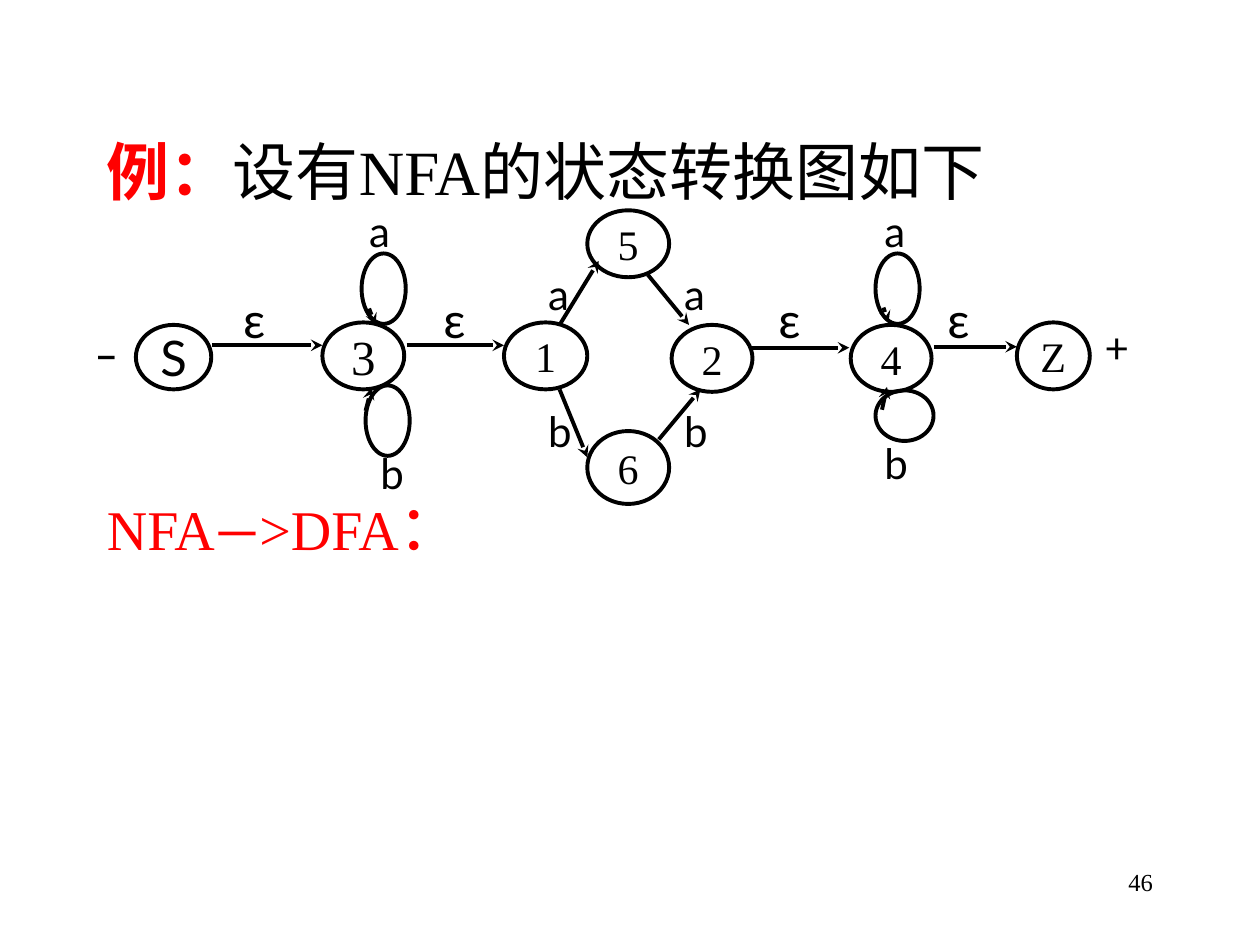
"""Build a slide with the state diagram of an NFA that is to be turned into a DFA."""
from lxml import etree
from pptx import Presentation
from pptx import util as u
from pptx.dml.color import RGBColor
from pptx.enum import shapes, text
from pptx.oxml import ns

BLACK = RGBColor(0x00, 0x00, 0x00)
RED = RGBColor(0xFF, 0x00, 0x00)
SERIF, SANS = "Times New Roman", "Lato"

LINES = [
    (0, [("例：", dict(size=36, color=RED, bold=True)),
         ("设有NFA的状态转换图如下", dict(size=36))]),
    (160, [("NFA", dict(size=32, color=RED)),
           ("—", dict(size=32, color=RED, font=SANS)),
           (">DFA", dict(size=32, color=RED)),
           ("：", dict(size=36, color=RED))]),
]
STATES = [
    ("5", 11.84, 4.24, 1.65, 1.35, {}),
    ("S", 2.74, 6.55, 1.52, 1.3, dict(size=28, font=SANS)),
    ("3", 6.5, 6.5, 1.65, 1.35, dict(size=28)),
    ("1", 10.16, 6.5, 1.68, 1.35, {}),
    ("2", 13.54, 6.55, 1.63, 1.35, {}),
    ("4", 17.15, 6.55, 1.63, 1.35, {}),
    ("Z", 20.5, 6.5, 1.47, 1.35, {}),
    ("6", 11.84, 8.69, 1.65, 1.47, {}),
]
LOOPS = [
    (7.29, 5.11, 0.89, 1.42),
    (7.37, 7.77, 0.89, 1.42),
    (17.65, 5.11, 0.89, 1.42),
    (17.65, 7.87, 1.17, 1.02),
]
STEPS = [
    (4.27, 6.96, 6.5, 6.96),
    (8.2, 6.96, 10.16, 6.96),
    (15.16, 7.01, 17.12, 7.01),
    (18.82, 6.99, 20.5, 6.99),
    (11.28, 6.55, 12.07, 5.26),
    (11.28, 7.85, 11.84, 9.22),
    (13.28, 8.86, 14.12, 7.85),
    (13.06, 5.54, 13.89, 6.55),
]
LOOP_HEADS = [
    (7.37, 8.28, 7.49, 7.82),
    (17.78, 8.26, 17.88, 7.8),
    (7.44, 6.22, 7.57, 6.55),
    (17.81, 6.2, 17.91, 6.5),
]
LABELS = {
    "ε": [(4.65, 5.72), (8.69, 5.72), (15.44, 5.72), (18.85, 5.72)],
    "a": [(7.19, 4.01), (10.8, 5.28), (13.54, 5.28), (17.58, 4.01)],
    "b": [(7.42, 8.89), (10.8, 8.05), (13.54, 8.05), (17.58, 8.69)],
    "+": [(22.02, 6.35)],
    "_": [(1.7, 6.15)],
}
LABEL_FORMATS = {"ε": dict(size=28), "_": dict(bold=True)}


def write(paragraph, content, size=24, font=SERIF, color=BLACK, bold=False, align=None):
    run = paragraph.add_run()
    run.text = content
    run.font.size = u.Pt(size)
    run.font.name = font
    run.font.color.rgb = color
    run.font.bold = bold
    if align is not None:
        paragraph.alignment = align


def add_ellipse(slide, *place):
    shape = slide.shapes.add_shape(shapes.MSO_SHAPE.OVAL, *map(u.Cm, place))
    shape.shadow.inherit = False
    shape.fill.background()
    shape.line.color.rgb = BLACK
    shape.line.width = u.Pt(2.25)
    return shape


def add_state(slide, label, *place, **style):
    frame = add_ellipse(slide, *place).text_frame
    frame.word_wrap = False
    frame.vertical_anchor = text.MSO_ANCHOR.MIDDLE
    write(frame.paragraphs[0], label, align=text.PP_ALIGN.CENTER, **style)


def add_arrow(slide, *ends):
    arrow = slide.shapes.add_connector(shapes.MSO_CONNECTOR.STRAIGHT, *map(u.Cm, ends))
    arrow.line.color.rgb = BLACK
    arrow.line.width = u.Pt(2.25)
    etree.SubElement(arrow.line._get_or_add_ln(), ns.qn("a:tailEnd"), type="stealth")
    etree.SubElement(arrow._element.spPr, ns.qn("a:effectLst"))


def add_label(slide, content, *place, **style):
    frame = slide.shapes.add_textbox(*map(u.Cm, place)).text_frame
    frame.word_wrap = True
    write(frame.paragraphs[0], content, **style)


def fill_body(body):
    body.left, body.top, body.width, body.height = map(u.Cm, (1.9, 2.54, 22.43, 14.4))
    frame = body.text_frame
    for index, (space, runs) in enumerate(LINES):
        paragraph = frame.add_paragraph() if index else frame.paragraphs[0]
        properties = paragraph._p.get_or_add_pPr()
        properties.set("marL", str(u.Cm(0.97)))
        properties.set("indent", str(u.Cm(-0.97)))
        etree.SubElement(properties, ns.qn("a:buNone"))
        paragraph.space_before = u.Pt(space)
        for content, style in runs:
            write(paragraph, content, align=text.PP_ALIGN.JUSTIFY, **style)


def main():
    presentation = Presentation()
    presentation.slide_width, presentation.slide_height = u.Cm(25.4), u.Cm(19.05)
    slide = presentation.slides.add_slide(presentation.slide_layouts[1])
    title = slide.shapes.title._element
    title.getparent().remove(title)
    fill_body(slide.placeholders[1])
    for label, left, top, width, height, style in STATES:
        add_state(slide, label, left, top, width, height, **style)
    for place in LOOPS:
        add_ellipse(slide, *place)
    for ends in STEPS + LOOP_HEADS:
        add_arrow(slide, *ends)
    for label, corners in LABELS.items():
        for left, top in corners:
            style = LABEL_FORMATS.get(label, {})
            add_label(slide, label, left, top, 1.27, 1.27, font=SANS, **style)
    add_label(slide, "46", 18.21, 17.35, 5.28, 1.27, size=14, align=text.PP_ALIGN.RIGHT)
    presentation.save("out.pptx")


if __name__ == "__main__":
    main()
